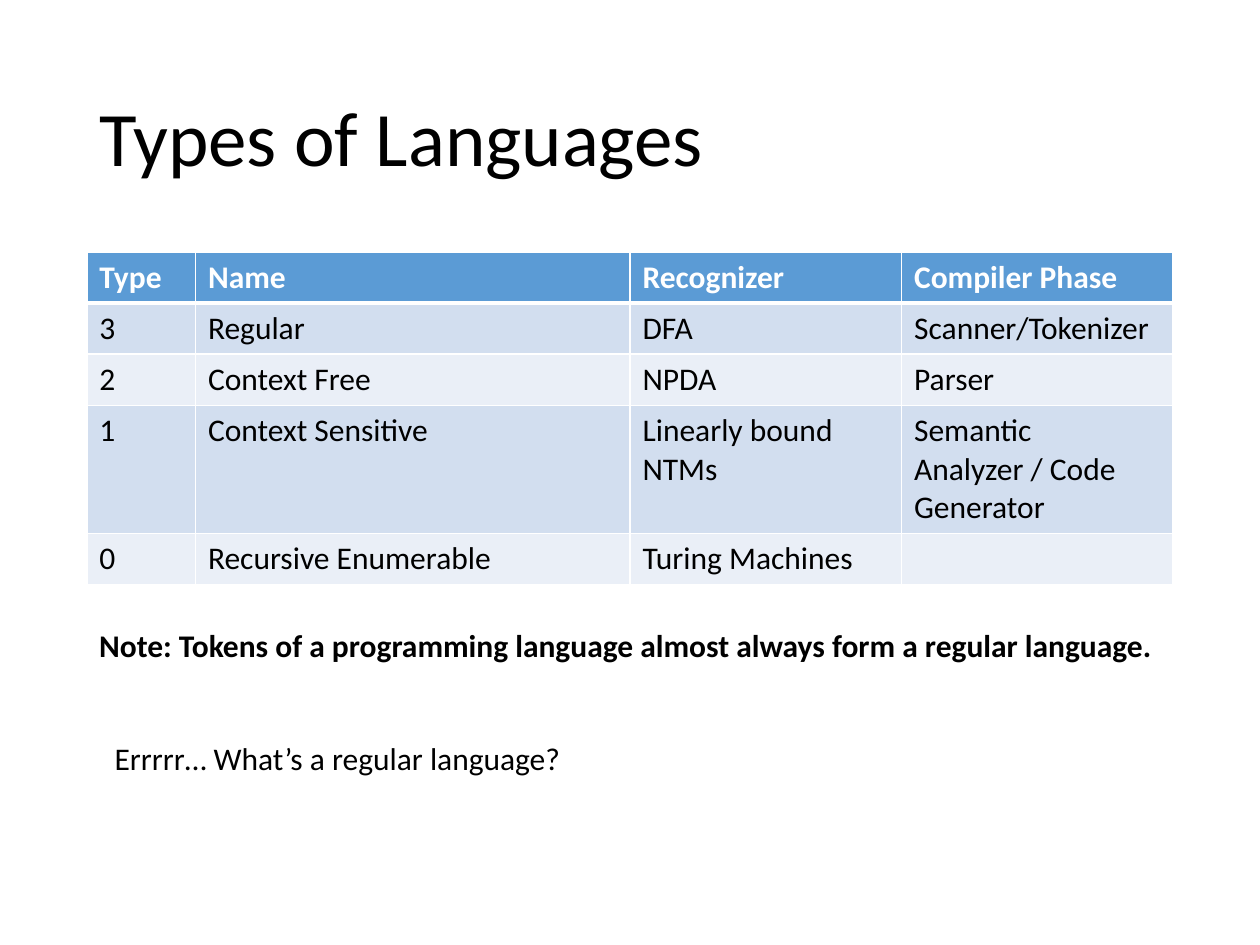
from lxml import etree
from pptx import Presentation
from pptx.dml.color import RGBColor
from pptx.enum.text import MSO_ANCHOR, MSO_AUTO_SIZE, PP_ALIGN
from pptx.oxml.ns import qn
from pptx.util import Cm, Pt

LEFT = PP_ALIGN.LEFT
MIDDLE = MSO_ANCHOR.MIDDLE
NO_AUTOFIT = MSO_AUTO_SIZE.NONE
GROW = MSO_AUTO_SIZE.SHAPE_TO_FIT_TEXT
TITLE_ONLY = 5

HEADINGS = ["Type", "Name", "Recognizer", "Compiler Phase"]
LANGUAGES = [
    ["3", "Regular", "DFA", "Scanner/Tokenizer"],
    ["2", "Context Free", "NPDA", "Parser"],
    ["1", "Context Sensitive", "Linearly bound NTMs",
     "Semantic Analyzer / Code Generator"],
    ["0", "Recursive Enumerable", "Turing Machines", ""],
]
COLUMN_SHARES = [0.1, 0.4, 0.25, 0.25]


def color(value):
    return RGBColor.from_string(value)


def write(frame, text, size=18, ink="000000", bold=False, spacing=None):
    paragraph = frame.paragraphs[0]
    paragraph.alignment = LEFT
    if spacing:
        paragraph.line_spacing = spacing
    paragraph.font.size = Pt(size)
    if not text:
        return
    run = paragraph.add_run()
    run.text = text
    run.font.name = "Calibri"
    run.font.size = Pt(size)
    run.font.bold = bold
    run.font.color.rgb = color(ink)


class LanguageSlide:
    header = "5B9BD5"
    bands = ["D2DEEF", "EAEFF7"]
    rule = "FFFFFF"
    margin = 1.75
    width = 21.9
    row_height = 1.03

    def __init__(self, deck):
        self.slide = deck.slides.add_slide(deck.slide_layouts[TITLE_ONLY])

    def title(self, text, top, height):
        heading = self.slide.shapes.title
        heading.left, heading.top = Cm(self.margin), Cm(top)
        heading.width, heading.height = Cm(self.width), Cm(height)
        frame = heading.text_frame
        frame.auto_size = NO_AUTOFIT
        frame.vertical_anchor = MIDDLE
        write(frame, text, size=44, spacing=0.9)

    def borders(self, cell, **widths):
        properties = cell._tc.get_or_add_tcPr()
        for side in "LRTB":
            line = etree.SubElement(properties, qn(f"a:ln{side}"),
                                    w=str(Pt(widths.get(side, 1))))
            fill = etree.SubElement(line, qn("a:solidFill"))
            etree.SubElement(fill, qn("a:srgbClr"), val=self.rule)

    def table(self, headings, records, shares, top):
        rows = [headings] + records
        grid = self.slide.shapes.add_table(
            len(rows), len(headings), Cm(self.margin), Cm(top),
            Cm(self.width), Cm(self.row_height * len(rows))).table
        for column, share in zip(grid.columns, shares):
            column.width = Cm(self.width * share)
        for r, record in enumerate(rows):
            grid.rows[r].height = Cm(self.row_height)
            for c, text in enumerate(record):
                cell = grid.cell(r, c)
                is_header = r == 0
                self.borders(cell, T=3 if r == 1 else 1, B=3 if is_header else 1)
                cell.fill.solid()
                band = self.bands[(r - 1) % 2]
                cell.fill.fore_color.rgb = color(self.header if is_header else band)
                write(cell.text_frame, text, bold=is_header,
                      ink="FFFFFF" if is_header else "000000")

    def remark(self, text, left, top, width, bold=False):
        box = self.slide.shapes.add_textbox(Cm(left), Cm(top), Cm(width), Cm(self.row_height))
        box.text_frame.word_wrap = False
        box.text_frame.auto_size = GROW
        write(box.text_frame, text, bold=bold)


def main():
    deck = Presentation()
    deck.slide_width, deck.slide_height = Cm(25.4), Cm(19.05)
    page = LanguageSlide(deck)
    page.title("Types of Languages", top=1.01, height=3.68)
    page.table(HEADINGS, LANGUAGES, COLUMN_SHARES, top=5.08)
    page.remark("Note: Tokens of a programming language almost always form a regular language.",
                left=page.margin, top=12.5, width=21.74, bold=True)
    page.remark("Errrrr… What’s a regular language?", left=2.06, top=14.78, width=9.6)
    deck.save("out.pptx")


if __name__ == "__main__":
    main()
